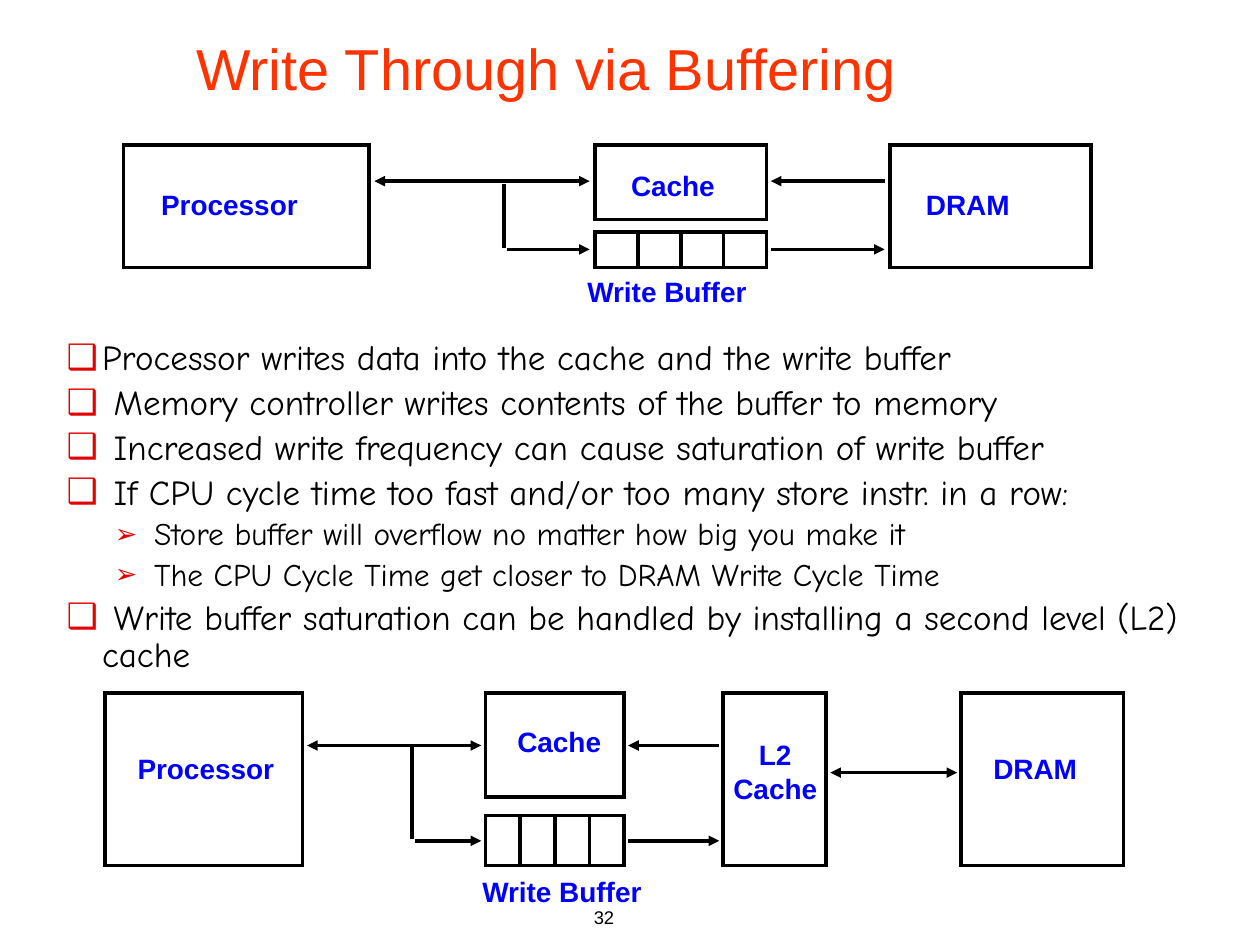
from lxml.etree import SubElement as Sub
from pptx import Presentation
from pptx.dml.color import RGBColor as RGB
from pptx.enum.shapes import MSO_CONNECTOR as LINK, MSO_SHAPE as SHAPE
from pptx.enum.text import MSO_ANCHOR as ANCHOR, MSO_AUTO_SIZE as AUTO, PP_ALIGN as ALIGN
from pptx.oxml.ns import qn
from pptx.util import Pt

BLACK = RGB(0, 0, 0)
WHITE = RGB(255, 255, 255)
BLUE = RGB(0, 0, 255)
ORANGE = RGB(255, 51, 0)
RED = RGB(228, 0, 0)

TITLE = "Write Through via Buffering"
PAGE = "32"
POINTS = [
    (0, "Processor writes data into the cache and the write buffer"),
    (0, " Memory controller writes contents of the buffer to memory"),
    (0, " Increased write frequency can cause saturation of write buffer"),
    (0, " If CPU cycle time too fast and/or too many store instr. in a row:"),
    (1, " Store buffer will overflow no matter how big you make it"),
    (1, " The CPU Cycle Time get closer to DRAM Write Cycle Time"),
    (0, " Write buffer saturation can be handled by installing a second level (L2) cache"),
]
LEVELS = [
    dict(mark="❑", pct=100, left=20.2, hang=20.2, size=20, gap=4),
    dict(mark="➢", pct=85, left=44, hang=16.5, size=18, gap=3.5),
]

DIAGRAMS = [
    dict(
        boxes=[(70.5, 83, 140.5, 70), (340, 83, 98, 42.5), (508.5, 83, 115, 70)],
        buffer=(340, 132.5, 98, 20.5),
        labels=[
            (["Processor"], 85, 103.5, 98),
            (["Cache"], 353.5, 92.5, 68),
            (["Write Buffer"], 328.5, 153.5, 112),
            (["DRAM"], 522, 103.5, 68),
        ],
        lines=[
            (289.5, 142.5, 337, 142.5, "tail"),
            (214, 103.5, 337, 103.5, "head tail"),
            (440.5, 142.5, 505.5, 142.5, "tail"),
            (440.5, 103.5, 505.5, 103.5, "head"),
            (288, 105, 288, 142, ""),
        ],
    ),
    dict(
        boxes=[(60, 396, 113, 98.5), (277.5, 396, 79, 59.5),
               (413, 396, 59, 98.5), (549, 396, 93, 98.5)],
        buffer=(277.5, 466, 79, 28.5),
        labels=[
            (["Processor"], 71.5, 426, 98),
            (["Cache"], 288.5, 410.5, 68),
            (["Write Buffer"], 268.5, 496, 112),
            (["L2", "Cache"], 409, 418, 68),
            (["DRAM"], 560.5, 426, 68),
        ],
        lines=[
            (237, 480.5, 275, 480.5, "tail"),
            (175.5, 426, 275, 426, "head tail"),
            (359, 480.5, 411, 480.5, "tail"),
            (359, 426, 411, 426, "head"),
            (235.5, 427, 235.5, 479.5, ""),
            (474.5, 441.5, 547, 441.5, "head tail"),
        ],
    ),
]


def style(para, size, color, name="Arial", bold=False):
    font = para.font
    font.size, font.name, font.bold = Pt(size), name, bold
    font.color.rgb = color


def add_box(shapes, spot):
    box = shapes.add_shape(SHAPE.RECTANGLE, *map(Pt, spot))
    box.shadow.inherit = False
    box.fill.background()
    box.line.color.rgb, box.line.width = BLACK, Pt(2)
    Sub(box.line._get_or_add_ln(), qn("a:miter"), lim="800000")
    return box


def add_line(shapes, x1, y1, x2, y2, ends=""):
    line = shapes.add_connector(LINK.STRAIGHT, *map(Pt, (x1, y1, x2, y2)))
    line.line.color.rgb, line.line.width = BLACK, Pt(2)
    for end in ends.split():
        Sub(line.line._get_or_add_ln(), qn(f"a:{end}End"), type="triangle")
    Sub(line._element.spPr, qn("a:effectLst"))
    return line


def add_buffer(shapes, spot):
    box = add_box(shapes, spot)
    x, y, w, h = spot
    for i in (1, 2, 3):
        cut = x + w * i / 4
        line = add_line(shapes, cut, y, cut, y + h)
        if i == 2:
            line.begin_connect(box, 0)
            line.end_connect(box, 2)


def add_label(shapes, rows, x, y, w):
    box = shapes.add_textbox(Pt(x), Pt(y), Pt(w), Pt(7 + 19 * len(rows)))
    frame = box.text_frame
    frame.text = "\n".join(rows)
    frame.word_wrap = False
    frame.auto_size = AUTO.NONE
    for para in frame.paragraphs:
        para.alignment = ALIGN.CENTER if len(rows) > 1 else ALIGN.LEFT
        style(para, 16, BLUE, bold=True)


def add_points(shapes):
    box = shapes.add_textbox(Pt(31), Pt(191), Pt(672), Pt(201))
    frame = box.text_frame
    frame.word_wrap = True
    frame.text = "\n".join(text for _, text in POINTS)
    for i, (para, (level, _)) in enumerate(zip(frame.paragraphs, POINTS)):
        look = LEVELS[level]
        para.level = level
        para.line_spacing = 0.9
        if i:
            para.space_before = Pt(look["gap"])
        props = para._p.get_or_add_pPr()
        props.set("marL", str(Pt(look["left"])))
        props.set("indent", str(-Pt(look["hang"])))
        Sub(Sub(props, qn("a:buClr")), qn("a:srgbClr"), val=str(RED))
        Sub(props, qn("a:buSzPct"), val=str(look["pct"] * 1000))
        Sub(props, qn("a:buFont"), typeface="Arial")
        Sub(props, qn("a:buChar"), char=look["mark"])
        style(para, look["size"], BLACK, "Comic Neue")


def main():
    deck = Presentation()
    deck.slide_width, deck.slide_height = Pt(720), Pt(540)
    slide = deck.slides.add_slide(deck.slide_layouts[5])
    shapes = slide.shapes

    title = shapes.title
    title.left, title.top, title.width, title.height = map(Pt, (105, 0, 595.5, 77))
    title.fill.solid()
    title.fill.fore_color.rgb = WHITE
    title.text_frame.text = TITLE
    title.text_frame.vertical_anchor = ANCHOR.MIDDLE
    head = title.text_frame.paragraphs[0]
    head.alignment = ALIGN.LEFT
    style(head, 33, ORANGE)

    add_points(shapes)
    for plan in DIAGRAMS:
        group = shapes.add_group_shape().shapes
        for spot in plan["boxes"]:
            add_box(group, spot)
        add_buffer(group, plan["buffer"])
        for line in plan["lines"]:
            add_line(group, *line)
        for label in plan["labels"]:
            add_label(group, *label)

    page = shapes.add_textbox(Pt(208), Pt(514), Pt(150), Pt(26))
    page.text_frame.word_wrap = True
    page.text_frame.text = PAGE
    para = page.text_frame.paragraphs[0]
    para.alignment = ALIGN.RIGHT
    style(para, 10.5, BLACK)

    deck.save("out.pptx")


if __name__ == "__main__":
    main()
